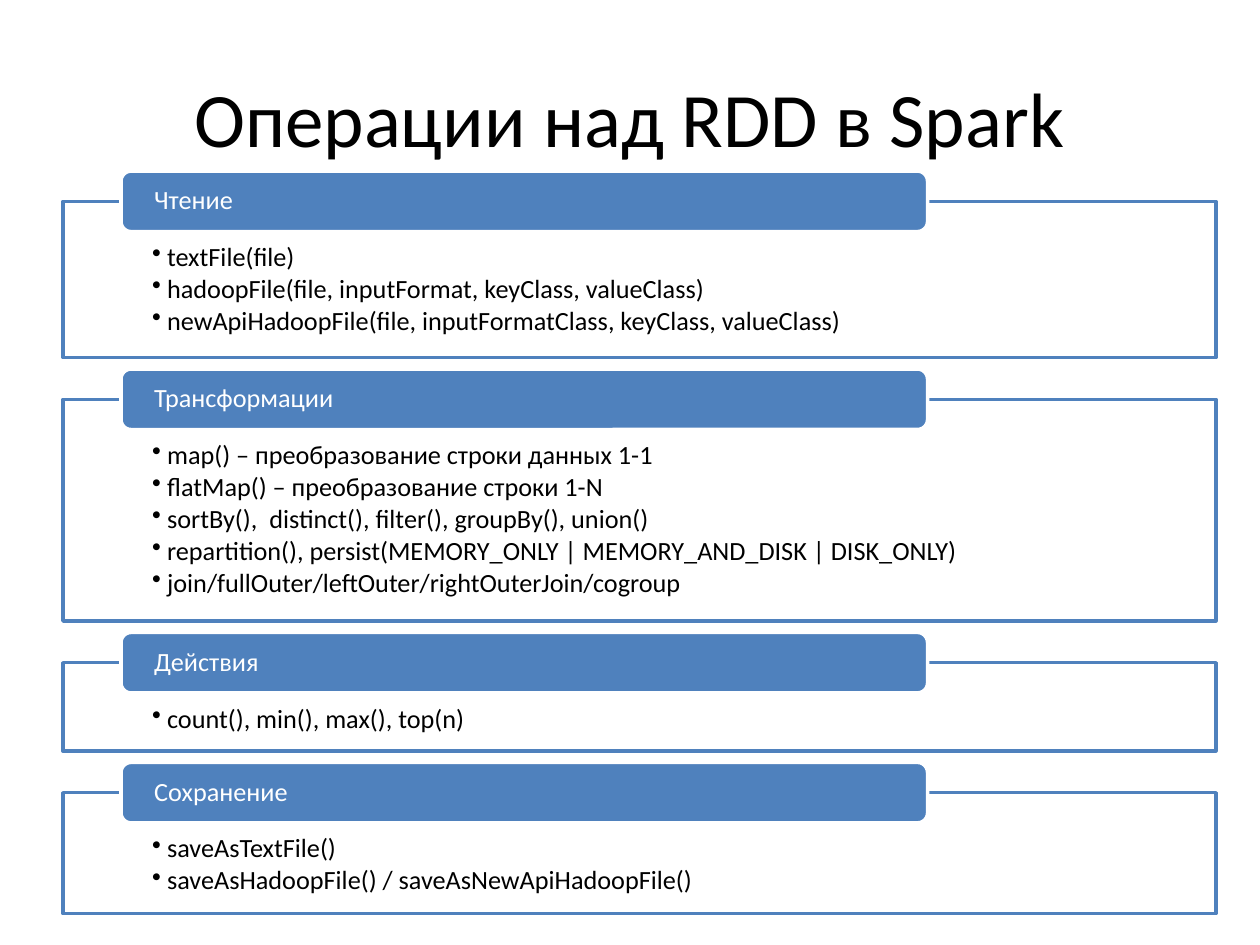
"""Build a slide that lists the RDD operations in Spark by category."""
from dataclasses import dataclass

from lxml import etree
from pptx import Presentation
from pptx.dml.color import RGBColor
from pptx.enum.shapes import MSO_SHAPE
from pptx.enum.text import MSO_ANCHOR, PP_ALIGN
from pptx.oxml.ns import qn
from pptx.util import Cm, Pt

RECTANGLE, ROUNDED = MSO_SHAPE.RECTANGLE, MSO_SHAPE.ROUNDED_RECTANGLE
TOP, MIDDLE = MSO_ANCHOR.TOP, MSO_ANCHOR.MIDDLE
LEFT, CENTER = PP_ALIGN.LEFT, PP_ALIGN.CENTER


@dataclass(frozen=True)
class Theme:
    font: str = "Calibri"
    title_size: Pt = Pt(44)
    body_size: Pt = Pt(15)
    line_width: Pt = Pt(2)
    accent: RGBColor = RGBColor(0x4F, 0x81, 0xBD)
    white: RGBColor = RGBColor(0xFF, 0xFF, 0xFF)
    black: RGBColor = RGBColor(0x00, 0x00, 0x00)


THEME = Theme()
SECTIONS = [
    ("Чтение", 3.15, [
        "textFile(file)",
        "hadoopFile(file, inputFormat, keyClass, valueClass)",
        "newApiHadoopFile(file, inputFormatClass, keyClass, valueClass)",
    ]),
    ("Трансформации", 4.47, [
        "map() – преобразование строки данных 1-1",
        "flatMap() – преобразование строки 1-N",
        "sortBy(),  distinct(), filter(), groupBy(), union()",
        "repartition(), persist(MEMORY_ONLY | MEMORY_AND_DISK | DISK_ONLY)",
        "join/fullOuter/leftOuter/rightOuterJoin/cogroup",
    ]),
    ("Действия", 1.78, ["count(), min(), max(), top(n)"]),
    ("Сохранение", 2.44, [
        "saveAsTextFile()",
        "saveAsHadoopFile() / saveAsNewApiHadoopFile()",
    ]),
]
FIRST_TOP, SECTION_GAP, HEADER_RISE = 4.06, 0.84, 0.61


def add_block(slide, kind, box, fill, line, side, top, bottom, anchor):
    shape = slide.shapes.add_shape(kind, *map(Cm, box))
    shape.shadow.inherit = False
    shape.fill.solid()
    shape.fill.fore_color.rgb = fill
    shape.line.color.rgb = line
    shape.line.width = THEME.line_width
    frame = shape.text_frame
    frame.word_wrap = True
    frame.vertical_anchor = anchor
    frame.margin_left = frame.margin_right = Cm(side)
    frame.margin_top, frame.margin_bottom = Cm(top), Cm(bottom)
    return shape


def write(paragraph, text, size, color, align=LEFT):
    paragraph.alignment = align
    run = paragraph.add_run()
    run.text = text
    run.font.name = THEME.font
    run.font.size = size
    run.font.color.rgb = color


presentation = Presentation()
presentation.slide_width, presentation.slide_height = Cm(25.4), Cm(19.05)
slide = presentation.slides.add_slide(presentation.slide_layouts[6])

title = slide.shapes.add_textbox(Cm(1.27), Cm(0.76), Cm(22.86), Cm(3.18))
title.text_frame.word_wrap = True
title.text_frame.vertical_anchor = MIDDLE
write(title.text_frame.paragraphs[0], "Операции над RDD в Spark",
      THEME.title_size, THEME.black, CENTER)

top = FIRST_TOP
for heading, height, operations in SECTIONS:
    panel = add_block(slide, RECTANGLE, (1.27, top, 23.24, height),
                      THEME.white, THEME.accent, 1.8, 0.86, 0.3, TOP)
    color = panel.fill._xPr.find(f"{qn('a:solidFill')}/{qn('a:srgbClr')}")
    etree.SubElement(color, qn("a:alpha"), val="90000")
    frame = panel.text_frame
    for index, operation in enumerate(operations):
        paragraph = frame.add_paragraph() if index else frame.paragraphs[0]
        paragraph.level = 1
        paragraph.line_spacing = 0.9
        paragraph.space_after = Pt(2)
        write(paragraph, operation, THEME.body_size, THEME.black)
        properties = paragraph._p.get_or_add_pPr()
        properties.set("marL", str(Cm(0.3)))
        properties.set("indent", str(-Cm(0.3)))
        etree.SubElement(properties, qn("a:buChar"), char="•")

    header = add_block(slide, ROUNDED, (2.44, top - HEADER_RISE, 16.26, 1.22),
                       THEME.accent, THEME.white, 0.61, 0, 0, MIDDLE)
    paragraph = header.text_frame.paragraphs[0]
    paragraph.line_spacing = 0.9
    write(paragraph, heading, THEME.body_size, THEME.white)
    top += height + SECTION_GAP

presentation.save("out.pptx")
